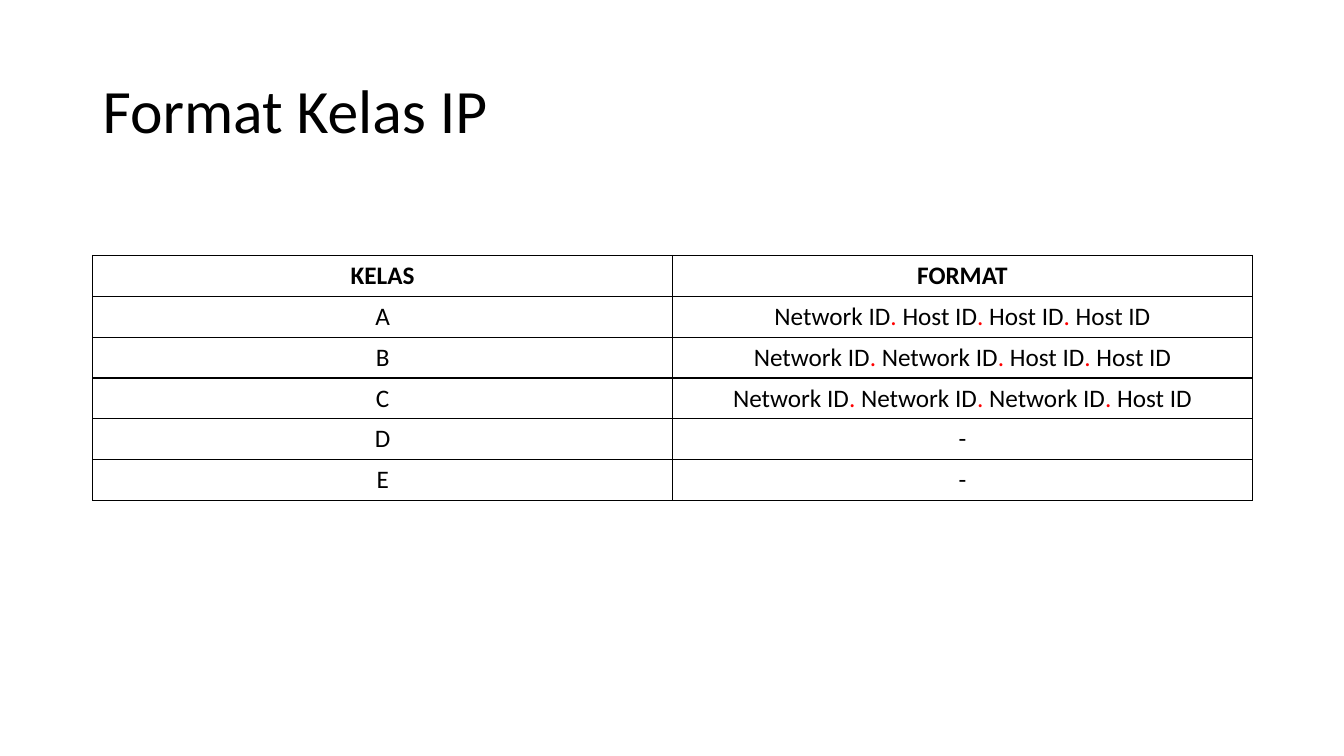
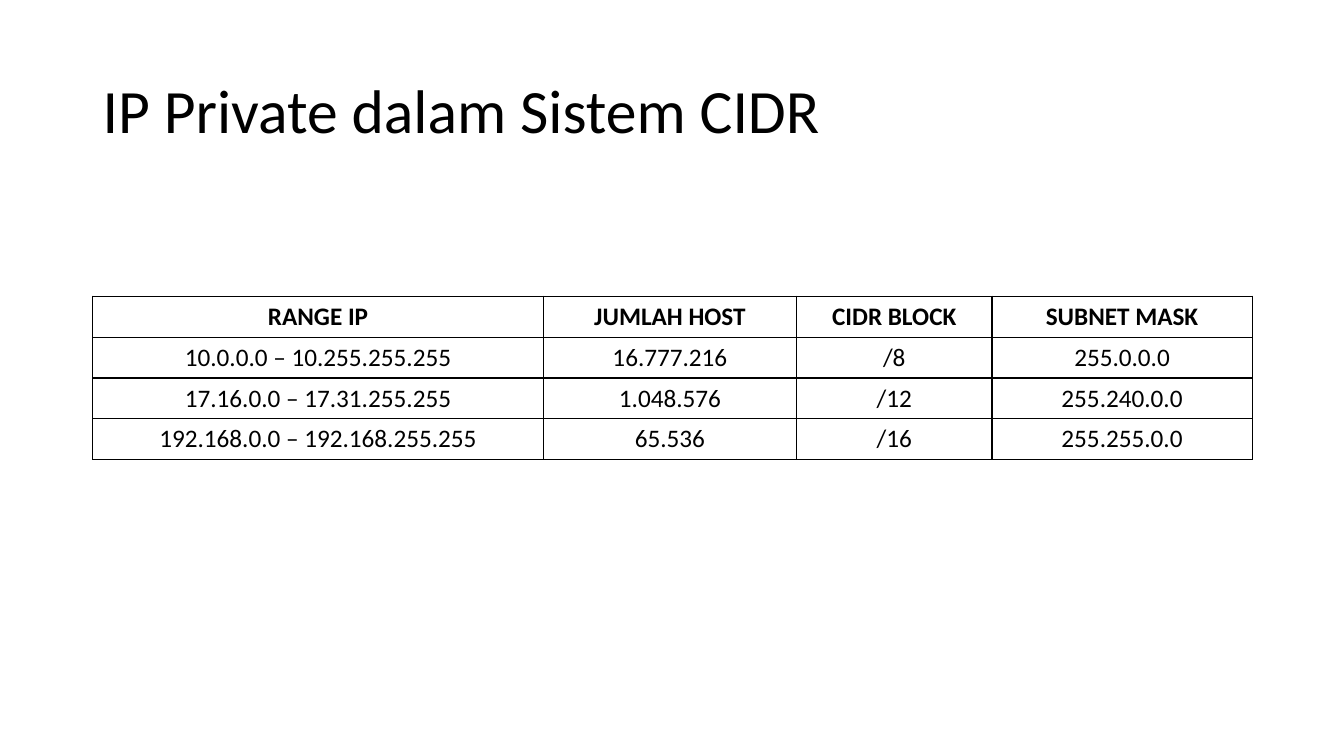
from lxml.etree import SubElement
from pptx import Presentation
from pptx.dml.color import RGBColor
from pptx.enum.text import MSO_ANCHOR as Anchor, PP_ALIGN as Align
from pptx.oxml.ns import qn
from pptx.util import Inches, Pt

# Shared style
FONT = "Calibri"
BLACK, RED = "000000", "FF0000"
SLIDE_WIDTH, SLIDE_HEIGHT = Inches(13.33), Inches(7.5)
LEFT, CONTENT_WIDTH = Inches(0.92), Inches(11.5)
TITLE_TOP, TITLE_HEIGHT = Inches(0.4), Inches(1.45)
TITLE_SIZE, TABLE_SIZE = 44, 18
ROW_HEIGHT = Pt(29.2)
BORDER_WIDTH = Pt(1)

# Table contents; a tuple is an address whose parts are joined by red dots
NET, HOST = "Network ID", "Host ID"
CLASS_ROWS = [
    ["KELAS", "FORMAT"],
    ["A", (NET, HOST, HOST, HOST)],
    ["B", (NET, NET, HOST, HOST)],
    ["C", (NET, NET, NET, HOST)],
    ["D", "-"],
    ["E", "-"],
]
PRIVATE_ROWS = [
    ["RANGE IP", "JUMLAH HOST", "CIDR BLOCK", "SUBNET MASK"],
    ["10.0.0.0 – 10.255.255.255", "16.777.216", "/8", "255.0.0.0"],
    ["17.16.0.0 – 17.31.255.255", "1.048.576", "/12", "255.240.0.0"],
    ["192.168.0.0 – 192.168.255.255", "65.536", "/16", "255.255.0.0"],
]


def rgb(color):
    return RGBColor.from_string(color)


def add_run(paragraph, text, size, color=BLACK, bold=False):
    run = paragraph.add_run()
    run.text = text
    run.font.name = FONT
    run.font.size = Pt(size)
    run.font.bold = bold
    run.font.color.rgb = rgb(color)


def add_title(slide, text):
    box = slide.shapes.add_textbox(LEFT, TITLE_TOP, CONTENT_WIDTH, TITLE_HEIGHT)
    frame = box.text_frame
    frame.word_wrap = True
    frame.vertical_anchor = Anchor.MIDDLE
    paragraph = frame.paragraphs[0]
    paragraph.line_spacing = 0.9
    add_run(paragraph, text, TITLE_SIZE)


def add_borders(cell):
    # Border elements must come before the cell's fill
    properties = cell._tc.get_or_add_tcPr()
    for index, side in enumerate(("lnL", "lnR", "lnT", "lnB")):
        line = SubElement(properties, qn(f"a:{side}"), w=str(BORDER_WIDTH))
        fill = SubElement(line, qn("a:solidFill"))
        SubElement(fill, qn("a:srgbClr"), val=BLACK)
        properties.insert(index, line)


def fill_cell(cell, content, bold):
    cell.fill.background()
    add_borders(cell)
    paragraph = cell.text_frame.paragraphs[0]
    paragraph.alignment = Align.CENTER
    if isinstance(content, str):
        add_run(paragraph, content, TABLE_SIZE, bold=bold)
        return
    first, *others = content
    add_run(paragraph, first, TABLE_SIZE)
    for part in others:
        add_run(paragraph, ".", TABLE_SIZE, RED)
        add_run(paragraph, f" {part}", TABLE_SIZE)


def add_grid(slide, rows, column_widths):
    # The table is centred vertically on the slide
    height = ROW_HEIGHT * len(rows)
    top = (SLIDE_HEIGHT - height) // 2
    table = slide.shapes.add_table(
        len(rows), len(column_widths), LEFT, top, CONTENT_WIDTH, height
    ).table
    table.first_row = table.horz_banding = False
    for column, width in zip(table.columns, column_widths):
        column.width = Inches(width)
    for row_index, row in enumerate(rows):
        table.rows[row_index].height = ROW_HEIGHT
        for column_index, content in enumerate(row):
            cell = table.cell(row_index, column_index)
            fill_cell(cell, content, bold=row_index == 0)


def add_table_slide(presentation, title, rows, column_widths):
    slide = presentation.slides.add_slide(presentation.slide_layouts[6])
    add_title(slide, title)
    add_grid(slide, rows, column_widths)


def main():
    presentation = Presentation()
    presentation.slide_width = SLIDE_WIDTH
    presentation.slide_height = SLIDE_HEIGHT
    add_table_slide(presentation, "Format Kelas IP", CLASS_ROWS, [5.75, 5.75])
    add_table_slide(presentation, "IP Private dalam Sistem CIDR", PRIVATE_ROWS,
                    [4.47, 2.51, 1.94, 2.58])
    presentation.save("out.pptx")


if __name__ == "__main__":
    main()
